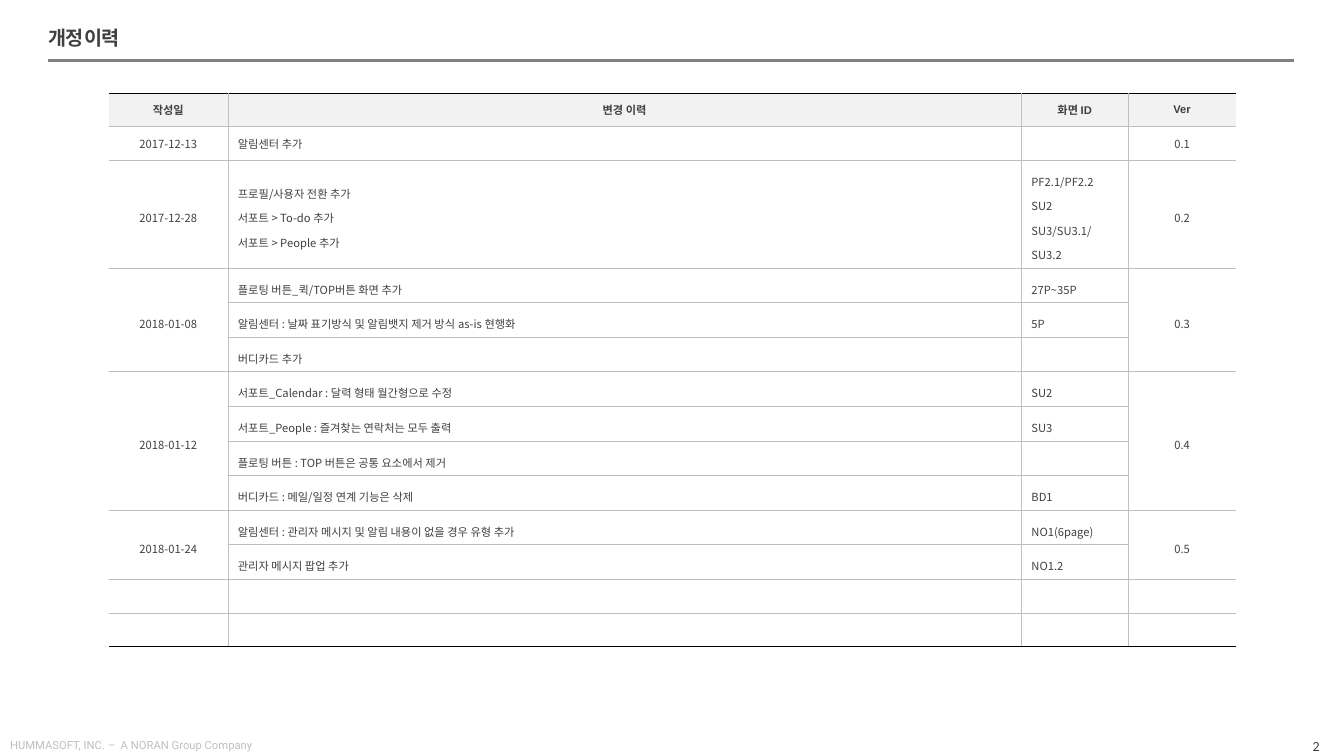
"""Build the revision history slide."""
from dataclasses import dataclass

from lxml import etree
from pptx import Presentation
from pptx import util as u
from pptx.dml.color import RGBColor
from pptx.enum import shapes, text
from pptx.oxml import ns

INK = RGBColor(0x40, 0x40, 0x40)
RULE_GRAY = RGBColor(0x80, 0x80, 0x80)
GRID_GRAY = RGBColor(0xBF, 0xBF, 0xBF)
HEADER_FILL = RGBColor(0xF2, 0xF2, 0xF2)
BLACK = RGBColor(0, 0, 0)
KOREAN_FONT = "Noto Sans CJK KR"
LEFT, CENTER, RIGHT = text.PP_ALIGN.LEFT, text.PP_ALIGN.CENTER, text.PP_ALIGN.RIGHT
PLAIN_ROW = 1 / 3
SPACED_ROW = 1.03 / 3
TALL_ROW = 1.07


@dataclass(frozen=True)
class Style:
    size: float
    font: str = KOREAN_FONT
    color: RGBColor = INK
    bold: bool = False
    align: text.PP_ALIGN = LEFT
    spacing: float = 1.0


@dataclass(frozen=True)
class Change:
    summary: str = ""
    screen: str = ""


@dataclass(frozen=True)
class Revision:
    date: str
    version: str
    changes: tuple[Change, ...]
    spacing: float = 1.5
    row_height: float = SPACED_ROW


@dataclass(frozen=True)
class Label:
    words: str
    left: float
    top: float
    width: float
    anchor: text.MSO_ANCHOR
    style: Style


HEADINGS = ("작성일", "변경 이력", "화면 ID", "Ver")
COLUMN_WIDTHS = (1.18, 7.87, 1.06, 1.07)
BLANK_REVISION = Revision("", "", (Change(),), 1.0, PLAIN_ROW)
REVISIONS = (
    Revision("2017-12-13", "0.1", (Change("알림센터 추가"),), 1.0, PLAIN_ROW),
    Revision("2017-12-28", "0.2", (
        Change("프로필/사용자 전환 추가\n서포트 > To-do 추가\n서포트 > People 추가",
               "PF2.1/PF2.2\nSU2\nSU3/SU3.1/SU3.2"),), row_height=TALL_ROW),
    Revision("2018-01-08", "0.3", (
        Change("플로팅 버튼_퀵/TOP버튼 화면 추가", "27P~35P"),
        Change("알림센터 : 날짜 표기방식 및 알림뱃지 제거 방식 as-is 현행화", "5P"),
        Change("버디카드 추가"))),
    Revision("2018-01-12", "0.4", (
        Change("서포트_Calendar : 달력 형태 월간형으로 수정", "SU2"),
        Change("서포트_People : 즐겨찾는 연락처는 모두 출력", "SU3"),
        Change("플로팅 버튼 : TOP 버튼은 공통 요소에서 제거"),
        Change("버디카드 : 메일/일정 연계 기능은 삭제", "BD1"))),
    Revision("2018-01-24", "0.5", (
        Change("알림센터 : 관리자 메시지 및 알림 내용이 없을 경우 유형 추가", "NO1(6page)"),
        Change("관리자 메시지 팝업 추가", "NO1.2"))),
    BLANK_REVISION,
    BLANK_REVISION,
)
FOOTERS = (
    Label("2", 12.42, 7.29, 0.71, text.MSO_ANCHOR.MIDDLE,
          Style(10, "Calibri", align=RIGHT)),
    Label("HUMMASOFT, INC. –  A NORAN Group Company", 0.06, 7.28, 3.59,
          text.MSO_ANCHOR.TOP, Style(8, "Roboto", GRID_GRAY)),
)


def write(frame, words: str, style: Style) -> None:
    """Fill a text frame and style each paragraph."""
    frame.text = words
    for paragraph in frame.paragraphs:
        paragraph.alignment = style.align
        paragraph.line_spacing = style.spacing
        for run in paragraph.runs:
            run.font.size = u.Pt(style.size)
            run.font.name = style.font
            run.font.bold = style.bold
            run.font.color.rgb = style.color
            east_asian = etree.SubElement(run.font._element, ns.qn("a:ea"))
            east_asian.set("typeface", KOREAN_FONT)
        if not paragraph.runs:
            ending = etree.SubElement(paragraph._p, ns.qn("a:endParaRPr"))
            ending.set("sz", str(int(style.size * 100)))


def set_margins(frame, horizontal: float, vertical: float) -> None:
    """Set equal side margins and equal top and bottom margins."""
    frame.margin_left = frame.margin_right = u.Inches(horizontal)
    frame.margin_top = frame.margin_bottom = u.Inches(vertical)


def add_title(slide, words: str) -> None:
    """Place the slide heading."""
    title = slide.shapes.title
    title.left, title.top = u.Inches(0.48), u.Inches(0.28)
    title.width, title.height = u.Inches(9.37), u.Inches(0.36)
    frame = title.text_frame
    frame.auto_size = text.MSO_AUTO_SIZE.NONE
    frame.vertical_anchor = text.MSO_ANCHOR.TOP
    set_margins(frame, 0, 0)
    write(frame, words, Style(14, bold=True, spacing=0.9))
    frame.paragraphs[0].space_before = u.Pt(10)
    frame.paragraphs[0].runs[0].font._element.set("spc", "-100")


def add_rule(slide) -> None:
    """Draw the line under the heading."""
    rule = slide.shapes.add_connector(
        shapes.MSO_CONNECTOR.STRAIGHT,
        u.Inches(0.48), u.Inches(0.6), u.Inches(12.83), u.Inches(0.6))
    rule.line.color.rgb = RULE_GRAY
    rule.line.width = u.Pt(2.25)
    etree.SubElement(rule._element.spPr, ns.qn("a:effectLst"))


def add_footer(slide, label: Label) -> None:
    """Add one line of footer text."""
    box = slide.shapes.add_textbox(
        u.Inches(label.left), u.Inches(label.top), u.Inches(label.width), u.Inches(0.21))
    frame = box.text_frame
    frame.word_wrap = False
    frame.vertical_anchor = label.anchor
    set_margins(frame, 0.04, 0.05)
    write(frame, label.words, label.style)


def set_borders(cell, sides: dict[str, RGBColor | None]) -> None:
    """Draw the given sides of a cell, hiding those without a colour."""
    properties = cell._tc.get_or_add_tcPr()
    for index, (side, color) in enumerate(sides.items()):
        border = etree.Element(ns.qn(f"a:ln{side}"), w=str(u.Pt(0.25)))
        if color is None:
            etree.SubElement(border, ns.qn("a:noFill"))
        else:
            solid = etree.SubElement(border, ns.qn("a:solidFill"))
            etree.SubElement(solid, ns.qn("a:srgbClr"), val=str(color))
        properties.insert(index, border)


def format_grid(history, heights: list[float]) -> None:
    """Set the heights, fills, borders and anchors of the cells."""
    last_row, last_column = len(heights) - 1, len(COLUMN_WIDTHS) - 1
    for column, width in zip(history.columns, COLUMN_WIDTHS):
        column.width = u.Inches(width)
    for row, height in enumerate(heights):
        history.rows[row].height = u.Inches(height)
        for column in range(last_column + 1):
            cell = history.cell(row, column)
            cell.vertical_anchor = text.MSO_ANCHOR.MIDDLE
            if row == 0:
                cell.fill.solid()
                cell.fill.fore_color.rgb = HEADER_FILL
            else:
                cell.fill.background()
            set_borders(cell, {
                "L": GRID_GRAY if column > 0 else None,
                "R": GRID_GRAY if column < last_column else None,
                "T": GRID_GRAY if row > 0 else BLACK,
                "B": GRID_GRAY if row < last_row else BLACK})


def add_history(slide) -> None:
    """Add the table of revisions."""
    heights = [PLAIN_ROW] + [rev.row_height for rev in REVISIONS for _ in rev.changes]
    history = slide.shapes.add_table(
        len(heights), len(HEADINGS), u.Inches(1.08), u.Inches(0.92),
        u.Inches(sum(COLUMN_WIDTHS)), u.Inches(sum(heights))).table
    history.first_row = history.horz_banding = False
    format_grid(history, heights)
    for column, heading in enumerate(HEADINGS):
        write(history.cell(0, column).text_frame, heading,
              Style(8, "Arial", bold=True, align=CENTER))
    row = 1
    for revision in REVISIONS:
        centered = Style(8, align=CENTER, spacing=revision.spacing)
        plain = Style(8, spacing=revision.spacing)
        final_row = row + len(revision.changes) - 1
        for offset, change in enumerate(revision.changes):
            date, version = (revision.date, revision.version) if offset == 0 else ("", "")
            entries = ((date, centered), (change.summary, plain),
                       (change.screen, plain), (version, centered))
            for column, (words, style) in enumerate(entries):
                write(history.cell(row + offset, column).text_frame, words, style)
        if final_row > row:
            for column in (0, len(HEADINGS) - 1):
                history.cell(row, column).merge(history.cell(final_row, column))
        row = final_row + 1


deck = Presentation()
deck.slide_width, deck.slide_height = u.Inches(13.33), u.Inches(7.5)
revision_slide = deck.slides.add_slide(deck.slide_layouts[5])
for footer in FOOTERS:
    add_footer(revision_slide, footer)
add_rule(revision_slide)
add_history(revision_slide)
add_title(revision_slide, "개정 이력")
deck.save("out.pptx")
